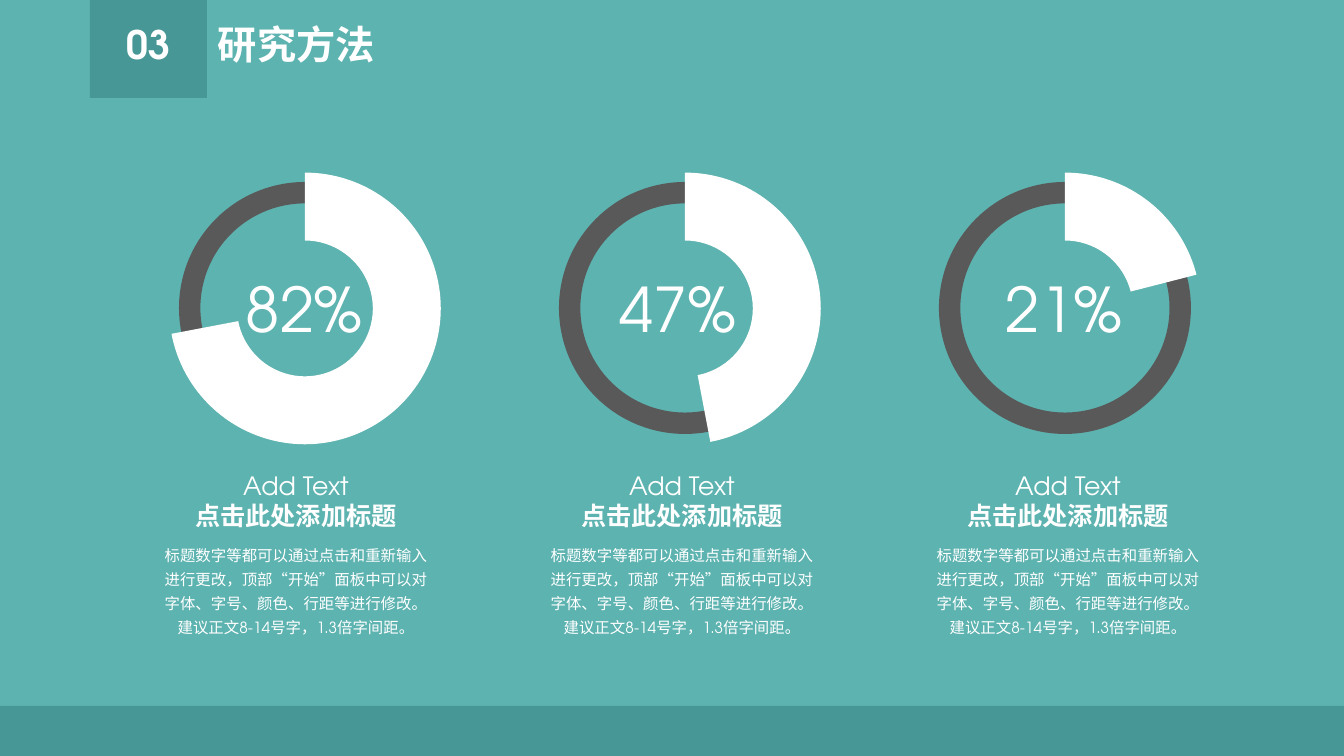
from pptx import Presentation
from pptx.chart.data import CategoryChartData as Data
from pptx.dml.color import RGBColor as RGB
from pptx.enum.chart import XL_CHART_TYPE as Kind
from pptx.enum.shapes import MSO_SHAPE as Form
from pptx.enum.text import MSO_ANCHOR as Anchor, MSO_AUTO_SIZE as Fit, PP_ALIGN as Align
from pptx.oxml import parse_xml
from pptx.oxml.ns import nsdecls, qn
from pptx.util import Emu, Pt

FONT = "TeX Gyre Adventor"
TEAL = RGB(0x5D, 0xB3, 0xB0)
DARK = RGB(0x47, 0x97, 0x96)
GREY = RGB(0x59, 0x59, 0x59)
WHITE = RGB(0xFF, 0xFF, 0xFF)
BLACK = RGB(0, 0, 0)

NUMBER, TITLE = "03", "研究方法"
# label, share drawn in white, left edge of the label
RINGS = [("82%", 72, 236), ("47%", 47, 610), ("21%", 21, 996)]
HEAD = ["Add Text", "点击此处添加标题"]
BODY = ("标题数字等都可以通过点击和重新输入进行更改，顶部“开始”面板中可以对"
        "字体、字号、颜色、行距等进行修改。建议正文8-14号字，1.3倍字间距。")

WIDE, HIGH = 1344, 756
RING_GAP, TEXT_GAP = 380, 386
PLOT = {"x": 0.184, "y": 0.026, "w": 0.632, "h": 0.948}


def px(*nums):
    return [Emu(round(n * 914400 / 100.8)) for n in nums]


def add_form(form, box, color):
    shape = slide.shapes.add_shape(form, *px(*box))
    shape.shadow.inherit = False
    shape.fill.solid()
    shape.fill.fore_color.rgb = color
    shape.line.fill.background()
    return shape


def add_text(lines, box, size, bold=(), align=Align.LEFT, space=1.0, **frame):
    """Write lines in a box; bold holds the indexes of the bold ones."""
    text = slide.shapes.add_textbox(*px(*box)).text_frame
    for name, value in frame.items():
        setattr(text, name, value)
    for i, line in enumerate(lines):
        para = text.paragraphs[0] if i == 0 else text.add_paragraph()
        para.alignment, para.line_spacing = align, space
        run = para.add_run()
        run.text = line
        look = {"name": FONT, "size": Pt(size), "bold": i in bold}
        for name, value in look.items():
            setattr(run.font, name, value)
        run.font.color.rgb = WHITE


def add_dial(share, box):
    """Draw a doughnut chart whose rest slice is clear."""
    data = Data()
    data.categories = ["1", "2"]
    data.add_series("Series 1", [share, 100 - share])
    chart = slide.shapes.add_chart(Kind.DOUGHNUT, *px(*box), data).chart
    chart.has_legend = chart.has_title = False
    chart.font.name, chart.font.size = FONT, Pt(10)
    chart.font.color.rgb = BLACK
    plot = chart.plots[0]
    plot.vary_by_categories = True
    plot.has_data_labels = False
    part, rest = [plot.series[0].points[i].format for i in range(2)]
    part.fill.solid()
    part.fill.fore_color.rgb = WHITE
    rest.fill.background()
    for look in (part, rest):
        look.line.fill.background()

    area = chart._chartSpace.find(".//" + qn("c:plotArea"))
    for old in area.findall(qn("c:layout")):
        area.remove(old)
    modes = "".join(f'<c:{k}Mode val="edge"/>' for k in "xy")
    sides = "".join(f'<c:{k} val="{v}"/>' for k, v in PLOT.items())
    area.insert(0, parse_xml(
        f'<c:layout {nsdecls("c")}><c:manualLayout><c:layoutTarget val="inner"/>'
        f'{modes}{sides}</c:manualLayout></c:layout>'))
    area.find(".//" + qn("c:holeSize")).set("val", "75")


deck = Presentation()
deck.slide_width, deck.slide_height = px(WIDE, HIGH)
slide = deck.slides.add_slide(deck.slide_layouts[6])
slide.background.fill.solid()
slide.background.fill.fore_color.rgb = TEAL

add_form(Form.RECTANGLE, (90, 0, 117, 98), DARK)
add_form(Form.RECTANGLE, (0, 706, WIDE, 50), DARK)
mid = {"word_wrap": True, "vertical_anchor": Anchor.MIDDLE}
add_text([NUMBER], (90, 23, 117, 47), 28, {0}, Align.CENTER, 0.9, **mid)
add_text([TITLE], (208, 23, 523, 47), 28, {0}, space=0.9, **mid)

loose = {"word_wrap": False, "auto_size": Fit.SHAPE_TO_FIT_TEXT}
tight = {"word_wrap": True, "auto_size": Fit.SHAPE_TO_FIT_TEXT}
for i, (label, share, left) in enumerate(RINGS):
    ring, col = i * RING_GAP, i * TEXT_GAP
    band = add_form(Form.DONUT, (179 + ring, 182, 252, 252), GREY)
    band.adjustments[0] = 0.085
    add_dial(share, (90 + ring, 165, 430, 287))
    add_text([label], (left, 266, 137, 85), 44, **loose)
    add_text(HEAD, (184 + col, 465, 224, 72), 18, {1}, Align.CENTER, **loose)
    add_text([BODY], (152 + col, 536, 288, 107), 11, (), Align.CENTER, 1.3, **tight)

deck.save("out.pptx")
